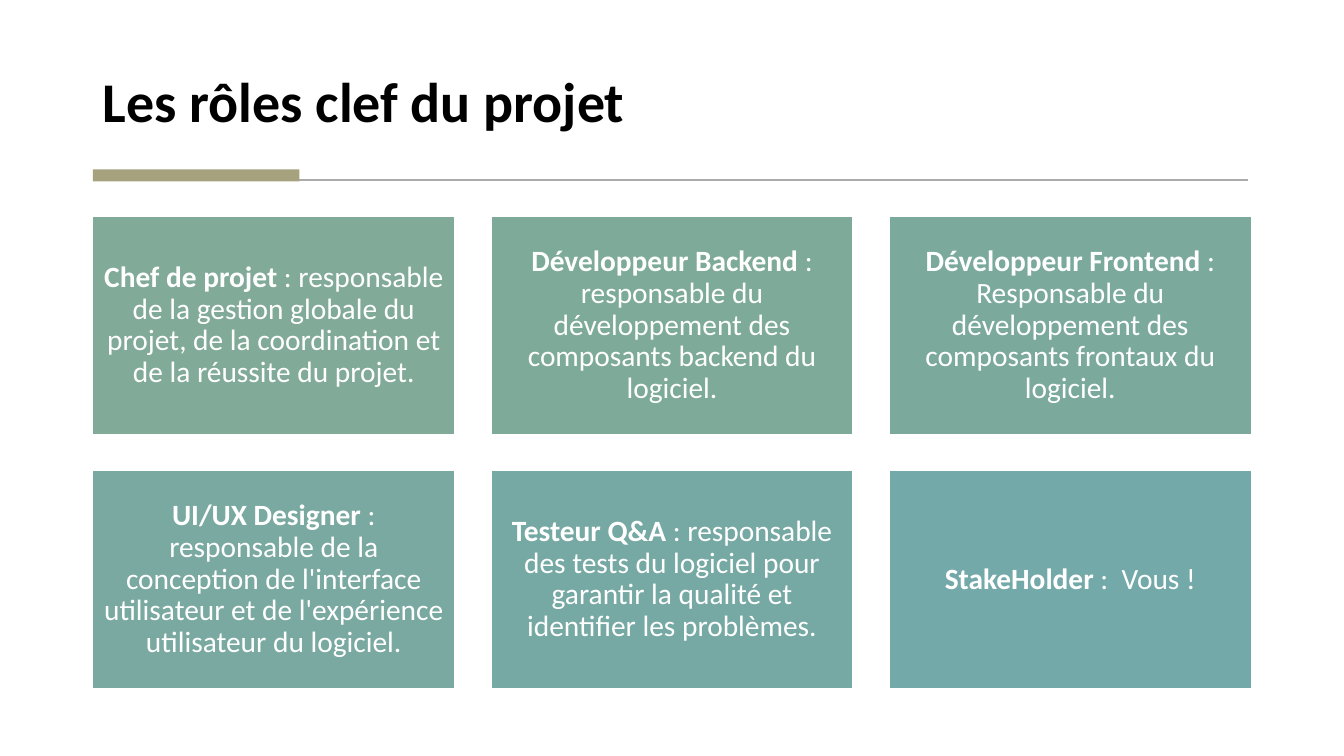
from pptx import Presentation
from pptx.dml.color import RGBColor
from pptx.enum.shapes import MSO_CONNECTOR, MSO_SHAPE
from pptx.enum.text import MSO_ANCHOR, MSO_AUTO_SIZE, PP_ALIGN
from pptx.oxml.ns import qn
from pptx.util import Inches, Pt

RECTANGLE = MSO_SHAPE.RECTANGLE
STRAIGHT = MSO_CONNECTOR.STRAIGHT
LEFT, CENTER = PP_ALIGN.LEFT, PP_ALIGN.CENTER

FONT = "Calibri"
COLORS = {
    "title": "000000",
    "rule": "ABABAB",
    "accent": "A6A27E",
    "white": "FFFFFF",
}
ROLES = [
    ("Chef de projet ", ": responsable de la gestion globale du projet, "
     "de la coordination et de la réussite du projet.", "81AA98"),
    ("Développeur Backend", " : responsable du développement des composants "
     "backend du logiciel.", "7EAA9A"),
    ("Développeur Frontend", " : Responsable du développement des composants "
     "frontaux du logiciel.", "7BAA9D"),
    ("UI/UX Designer", " : responsable de la conception de l'interface "
     "utilisateur et de l'expérience utilisateur du logiciel.", "79A9A0"),
    ("Testeur Q&A", " : responsable des tests du logiciel pour garantir "
     "la qualité et identifier les problèmes.", "76A9A4"),
    ("StakeHolder", " :  Vous !", "73A9A8"),
]
COLUMNS = 3
CARD_LEFT, CARD_TOP = 0.92, 2.15
CARD_WIDTH, CARD_HEIGHT = 3.59, 2.16
GAP = 0.36


def add_run(paragraph, text, size, color, bold):
    run = paragraph.add_run()
    run.text = text
    run.font.name = FONT
    run.font.size = Pt(size)
    run.font.bold = bold
    run.font.color.rgb = RGBColor.from_string(color)


def add_rectangle(slide, left, top, width, height, color):
    shape = slide.shapes.add_shape(
        RECTANGLE, Inches(left), Inches(top), Inches(width), Inches(height))
    shape.shadow.inherit = False
    shape.fill.solid()
    shape.fill.fore_color.rgb = RGBColor.from_string(color)
    shape.line.fill.background()
    return shape


presentation = Presentation()
presentation.slide_width = Inches(13.33)
presentation.slide_height = Inches(7.5)
slide = presentation.slides.add_slide(presentation.slide_layouts[5])

# Title
title = slide.shapes.title
title.left, title.top = Inches(0.92), Inches(0.28)
title.width, title.height = Inches(11.49), Inches(1.11)
title_frame = title.text_frame
title_frame.auto_size = MSO_AUTO_SIZE.NONE
title_frame.vertical_anchor = MSO_ANCHOR.BOTTOM
title_paragraph = title_frame.paragraphs[0]
title_paragraph.alignment = LEFT
title_paragraph.line_spacing = 0.9
add_run(title_paragraph, "Les rôles clef du projet", 40, COLORS["title"], True)

# Rule and accent bar under the title
rule = slide.shapes.add_connector(
    STRAIGHT, Inches(0.95), Inches(1.79), Inches(12.38), Inches(1.79))
rule.line.color.rgb = RGBColor.from_string(COLORS["rule"])
rule.line.width = Pt(1.5)
shape_properties = rule._element.spPr
shape_properties.append(shape_properties.makeelement(qn("a:effectLst"), {}))
add_rectangle(slide, 0.92, 1.68, 2.05, 0.12, COLORS["accent"])

# Role cards
for index, (role, description, color) in enumerate(ROLES):
    row, column = divmod(index, COLUMNS)
    card = add_rectangle(
        slide,
        CARD_LEFT + column * (CARD_WIDTH + GAP),
        CARD_TOP + row * (CARD_HEIGHT + GAP),
        CARD_WIDTH, CARD_HEIGHT, color)
    card.line.color.rgb = RGBColor.from_string(COLORS["white"])
    card.line.width = Pt(1)
    frame = card.text_frame
    frame.word_wrap = True
    frame.vertical_anchor = MSO_ANCHOR.MIDDLE
    frame.margin_left = frame.margin_right = Inches(0.09)
    frame.margin_top = frame.margin_bottom = Inches(0.09)
    paragraph = frame.paragraphs[0]
    paragraph.alignment = CENTER
    paragraph.line_spacing = 0.9
    add_run(paragraph, role, 21, COLORS["white"], True)
    add_run(paragraph, description, 21, COLORS["white"], False)

presentation.save("out.pptx")
